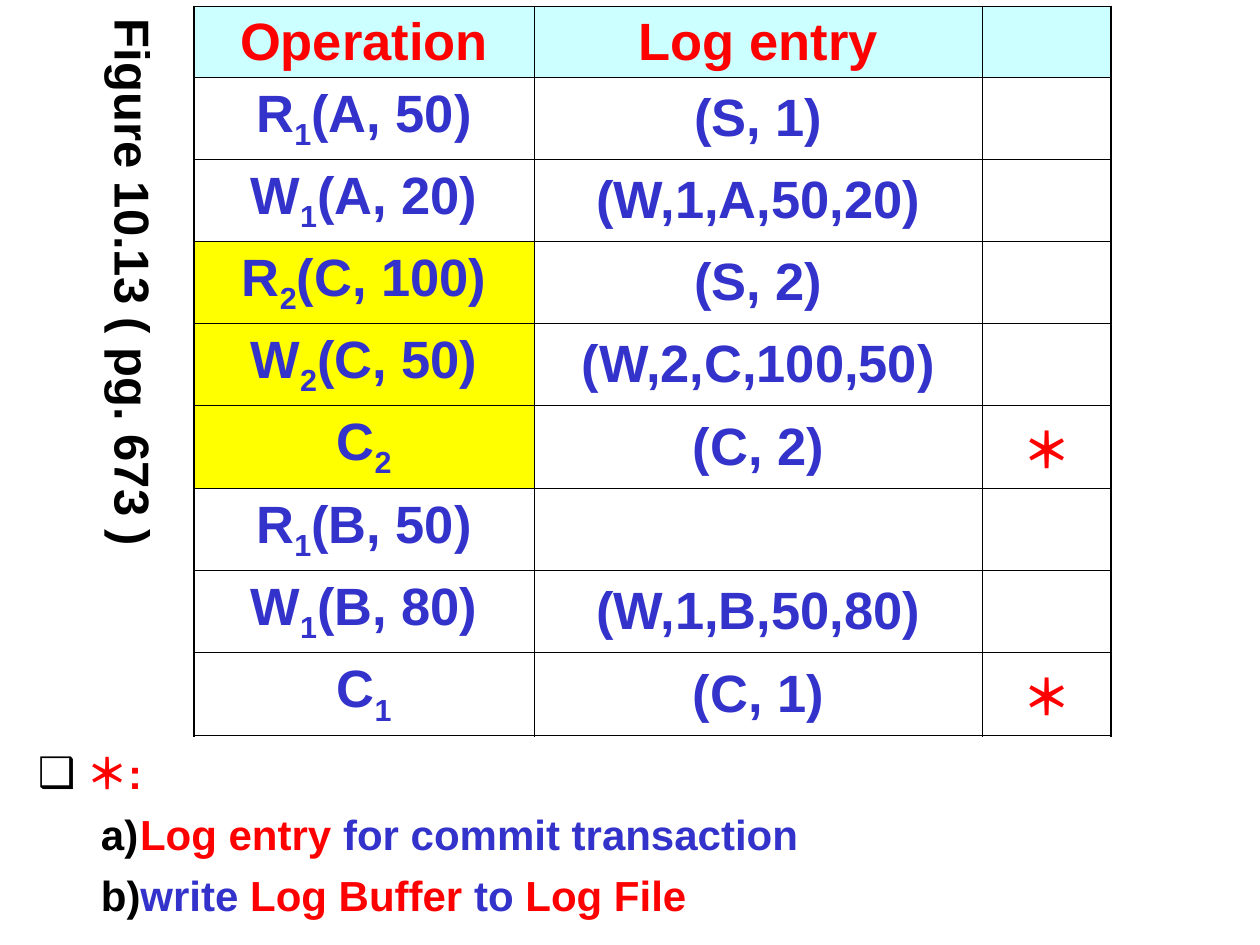
from lxml.etree import SubElement
from pptx import Presentation
from pptx.dml.color import RGBColor
from pptx.enum.text import MSO_ANCHOR, MSO_AUTO_SIZE, PP_ALIGN
from pptx.oxml.ns import qn
from pptx.util import Cm, Pt

RED = RGBColor(0xFF, 0x00, 0x00)
BLUE = RGBColor(0x33, 0x33, 0xCC)
BLACK = RGBColor(0x00, 0x00, 0x00)
WHITE = RGBColor(0xFF, 0xFF, 0xFF)
CYAN = RGBColor(0xCC, 0xFF, 0xFF)
YELLOW = RGBColor(0xFF, 0xFF, 0x00)


def add_run(p, text, size, color):
    r = p.add_run()
    r.text = text
    r.font.name = "Arial"
    r.font.size = Pt(size)
    r.font.bold = True
    r.font.color.rgb = color
    return r


def add_border(cell, side, width):
    ln = SubElement(cell._tc.get_or_add_tcPr(), qn("a:" + side), w=str(Pt(width)))
    fill = SubElement(ln, qn("a:solidFill"))
    SubElement(fill, qn("a:srgbClr"), val=str(BLACK))


prs = Presentation()
prs.slide_width = Cm(25.4)
prs.slide_height = Cm(19.05)
s = prs.slides.add_slide(prs.slide_layouts[1])
title = s.shapes.title
title._element.getparent().remove(title._element)

caption = s.shapes.add_textbox(Cm(1.75), Cm(0.13), Cm(1.68), Cm(11.6))
tf = caption.text_frame
tf.word_wrap = True
tf.margin_left = tf.margin_right = Cm(0.13)
tf.margin_top = tf.margin_bottom = Cm(0.25)
tf._txBody.bodyPr.set("vert", "eaVert")
p = tf.paragraphs[0]
p.alignment = PP_ALIGN.CENTER
add_run(p, "Figure 10.13 ( pg. 673 )", 28, BLACK)

notes = s.placeholders[1]
notes.left, notes.top, notes.width, notes.height = Cm(0.51), Cm(14.94), Cm(24.82), Cm(4.14)
notes.fill.solid()
notes.fill.fore_color.rgb = WHITE
tf = notes.text_frame
tf.auto_size = MSO_AUTO_SIZE.NONE
tf.vertical_anchor = MSO_ANCHOR.TOP
lines = [
    [("＊:", RED)],
    [("Log entry", RED), (" for commit transaction", BLUE)],
    [("write ", BLUE), ("Log Buffer ", RED), ("to ", BLUE), ("Log File", RED)],
]
for i, runs in enumerate(lines):
    p = tf.add_paragraph() if i else tf.paragraphs[0]
    p.level = 1 if i else 0
    pPr = p._p.get_or_add_pPr()
    pPr.set("marL", str(Cm(2.06 if i else 0.97)))
    pPr.set("indent", str(Cm(-0.79 if i else -0.97)))
    SubElement(SubElement(pPr, qn("a:buClr")), qn("a:srgbClr"), val=str(BLACK))
    SubElement(pPr, qn("a:buFont"), typeface="Arial")
    if i:
        SubElement(pPr, qn("a:buAutoNum"), type="alphaLcParenR")
    else:
        SubElement(pPr, qn("a:buChar"), char="❑")
    p.space_before = Pt(6 if i else 0)
    for text, color in runs:
        add_run(p, text, 24, color)

rows = [
    ("Operation", "", "", "Log entry", ""),
    ("R", "1", "(A, 50)", "(S, 1)", ""),
    ("W", "1", "(A, 20)", "(W,1,A,50,20)", ""),
    ("R", "2", "(C, 100)", "(S, 2)", ""),
    ("W", "2", "(C, 50)", "(W,2,C,100,50)", ""),
    ("C", "2", "", "(C, 2)", "＊"),
    ("R", "1", "(B, 50)", "", ""),
    ("W", "1", "(B, 80)", "(W,1,B,50,80)", ""),
    ("C", "1", "", "(C, 1)", "＊"),
]
widths = [6.86, 9.04, 2.59]
last_row, last_col = len(rows) - 1, len(widths) - 1
table = s.shapes.add_table(len(rows), len(widths), Cm(3.91), Cm(0.13), Cm(18.49), Cm(14.6)).table
table.first_row = False
table.horz_banding = False
for column, width in zip(table.columns, widths):
    column.width = Cm(width)

for i, (name, number, args, entry, mark) in enumerate(rows):
    table.rows[i].height = Cm(1.65 if i else 1.4)
    for j, parts in enumerate([(name, number, args), (entry,), (mark,)]):
        cell = table.cell(i, j)
        outer = {"lnL": j == 0, "lnR": j == last_col, "lnT": i == 0, "lnB": i == last_row}
        for side, edge in outer.items():
            add_border(cell, side, 1.08 if edge else 0.45)
        cell.fill.solid()
        if i == 0:
            cell.fill.fore_color.rgb = CYAN
        else:
            cell.fill.fore_color.rgb = YELLOW if j == 0 and number == "2" else WHITE
        cell.vertical_anchor = MSO_ANCHOR.MIDDLE
        p = cell.text_frame.paragraphs[0]
        p.alignment = PP_ALIGN.CENTER
        for k, text in enumerate(parts):
            if text:
                color = RED if i == 0 or j == last_col else BLUE
                r = add_run(p, text, 28 if j == last_col else 30, color)
                if k == 1:
                    r.font._element.set("baseline", "-25000")

prs.save("out.pptx")
